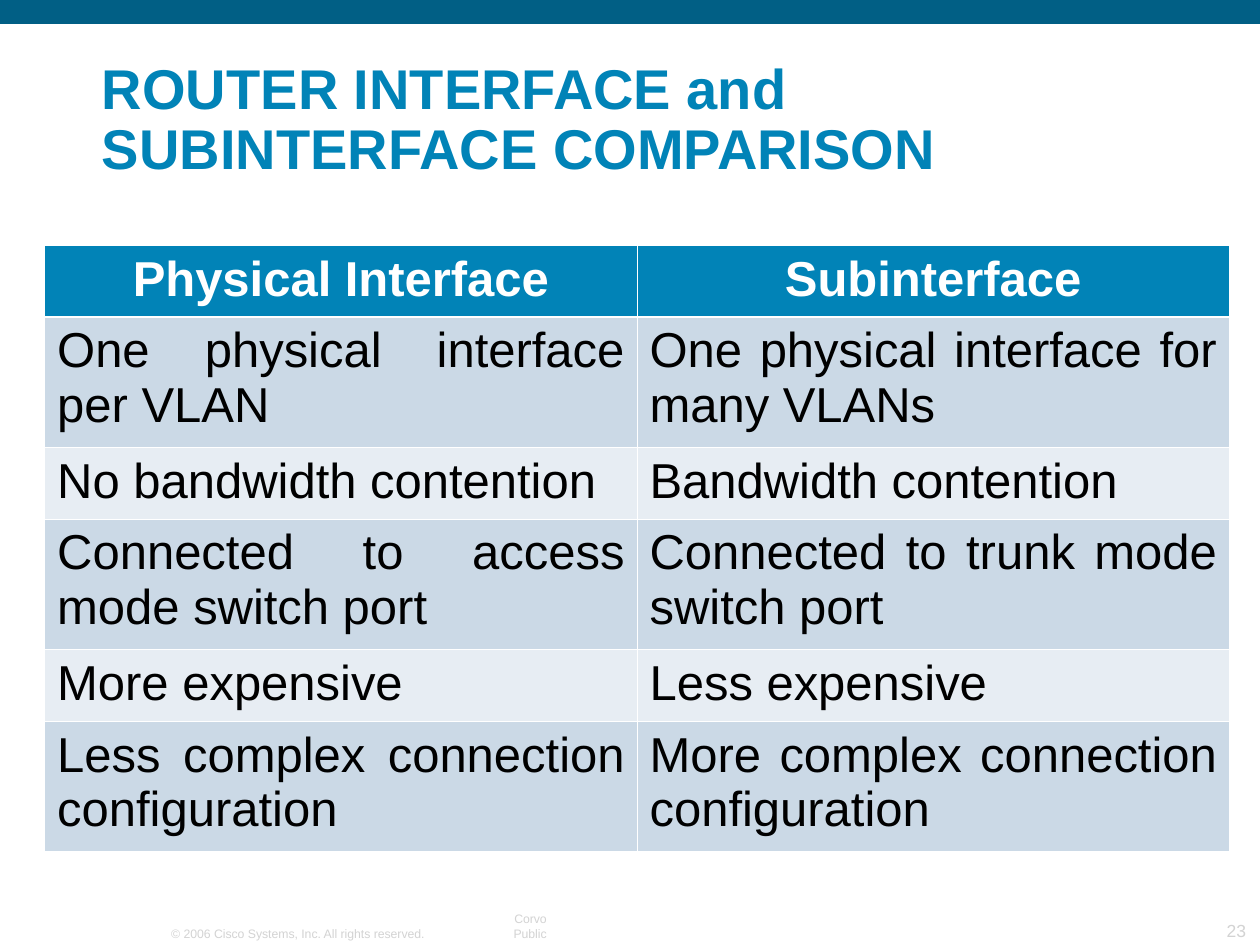
from pptx import Presentation
from pptx.dml.color import RGBColor
from pptx.enum.shapes import MSO_SHAPE as Shape
from pptx.enum.text import MSO_ANCHOR as Anchor, PP_ALIGN as Align
from pptx.oxml import parse_xml
from pptx.oxml.ns import nsdecls
from pptx.util import Pt

COLORS = {
    "bar": "015F85",
    "accent": "0183B7",
    "footer": "D3D3D3",
    "white": "FFFFFF",
    "black": "000000",
    "dark_band": "CBD9E6",
    "light_band": "E7EDF3",
}
ROWS = [
    ("Physical Interface", "Subinterface"),
    ("One physical interface per VLAN", "One physical interface for many VLANs"),
    ("No bandwidth contention", "Bandwidth contention"),
    ("Connected to access mode switch port", "Connected to trunk mode switch port"),
    ("More expensive", "Less expensive"),
    ("Less complex connection configuration", "More complex connection configuration"),
]
COLUMN_WIDTH = 338.5
SHORT_ROW, TALL_ROW = 41, 74.5
THIN_BORDER, HEADER_BORDER = 0.45, 1.47


def rgb(name):
    return RGBColor.from_string(COLORS[name])


def set_font(paragraph, size, color, bold=False):
    font = paragraph.font
    font.name = "Arial"
    font.size = Pt(size)
    font.bold = bold
    font.color.rgb = rgb(color)


def add_top_bar(slide, width):
    bar = slide.shapes.add_shape(Shape.RECTANGLE, 0, 0, width, Pt(13.7))
    bar.shadow.inherit = False
    bar.fill.solid()
    bar.fill.fore_color.rgb = rgb("bar")
    bar.line.fill.background()


def add_text(slide, text, box, size, color, align=Align.LEFT, bold=False, wrap=False):
    shape = slide.shapes.add_textbox(*(Pt(length) for length in box))
    frame = shape.text_frame
    frame.word_wrap = wrap
    frame.vertical_anchor = Anchor.BOTTOM
    frame.margin_left = frame.margin_right = Pt(6.5)
    frame.margin_top = frame.margin_bottom = Pt(3.2)
    paragraph = frame.paragraphs[0]
    paragraph.text = text
    paragraph.alignment = align
    set_font(paragraph, size, color, bold)
    return paragraph


def set_borders(cell, top, bottom):
    properties = cell._tc.get_or_add_tcPr()
    widths = {"lnL": THIN_BORDER, "lnR": THIN_BORDER, "lnT": top, "lnB": bottom}
    # Borders must come before the fill in the cell properties
    for index, (tag, width) in enumerate(widths.items()):
        properties.insert(index, parse_xml(
            f'<a:{tag} {nsdecls("a")} w="{Pt(width)}"><a:solidFill>'
            f'<a:srgbClr val="{COLORS["white"]}"/></a:solidFill></a:{tag}>'))


def fill_cell(cell, text, row_index):
    header = row_index == 0
    band = "dark_band" if row_index % 2 else "light_band"
    cell.fill.solid()
    cell.fill.fore_color.rgb = rgb("accent" if header else band)
    paragraph = cell.text_frame.paragraphs[0]
    paragraph.text = text
    paragraph.alignment = Align.CENTER if header else Align.JUSTIFY
    set_font(paragraph, 28, "white" if header else "black", bold=header)
    set_borders(cell,
                top=HEADER_BORDER if row_index == 1 else THIN_BORDER,
                bottom=HEADER_BORDER if header else THIN_BORDER)


def add_comparison_table(slide):
    heights = [TALL_ROW if index % 2 else SHORT_ROW for index in range(len(ROWS))]
    table = slide.shapes.add_table(
        len(ROWS), 2, Pt(25.5), Pt(140.3), Pt(2 * COLUMN_WIDTH), Pt(sum(heights))).table
    for column in table.columns:
        column.width = Pt(COLUMN_WIDTH)
    for row_index, texts in enumerate(ROWS):
        table.rows[row_index].height = Pt(heights[row_index])
        for column_index, text in enumerate(texts):
            fill_cell(table.cell(row_index, column_index), text, row_index)


def main():
    presentation = Presentation()
    presentation.slide_width, presentation.slide_height = Pt(720), Pt(540)
    slide = presentation.slides.add_slide(presentation.slide_layouts[6])

    # Top bar and footer
    add_top_bar(slide, presentation.slide_width)
    add_text(slide, "© 2006 Cisco Systems, Inc. All rights reserved.",
             (91.4, 525.6, 158.4, 15), 7, "footer")
    add_text(slide, "Corvo Public", (267.8, 525.6, 51.1, 15), 7, "footer", Align.RIGHT)
    add_text(slide, "23", (660.2, 522, 58.3, 18.7), 10, "footer", Align.RIGHT)

    # Title
    title = add_text(slide, "ROUTER INTERFACE and SUBINTERFACE COMPARISON",
                     (51.8, 41, 641.5, 66.2), 32, "accent", bold=True, wrap=True)
    title.line_spacing = 0.9

    # Comparison table
    add_comparison_table(slide)

    presentation.save("out.pptx")


if __name__ == "__main__":
    main()
